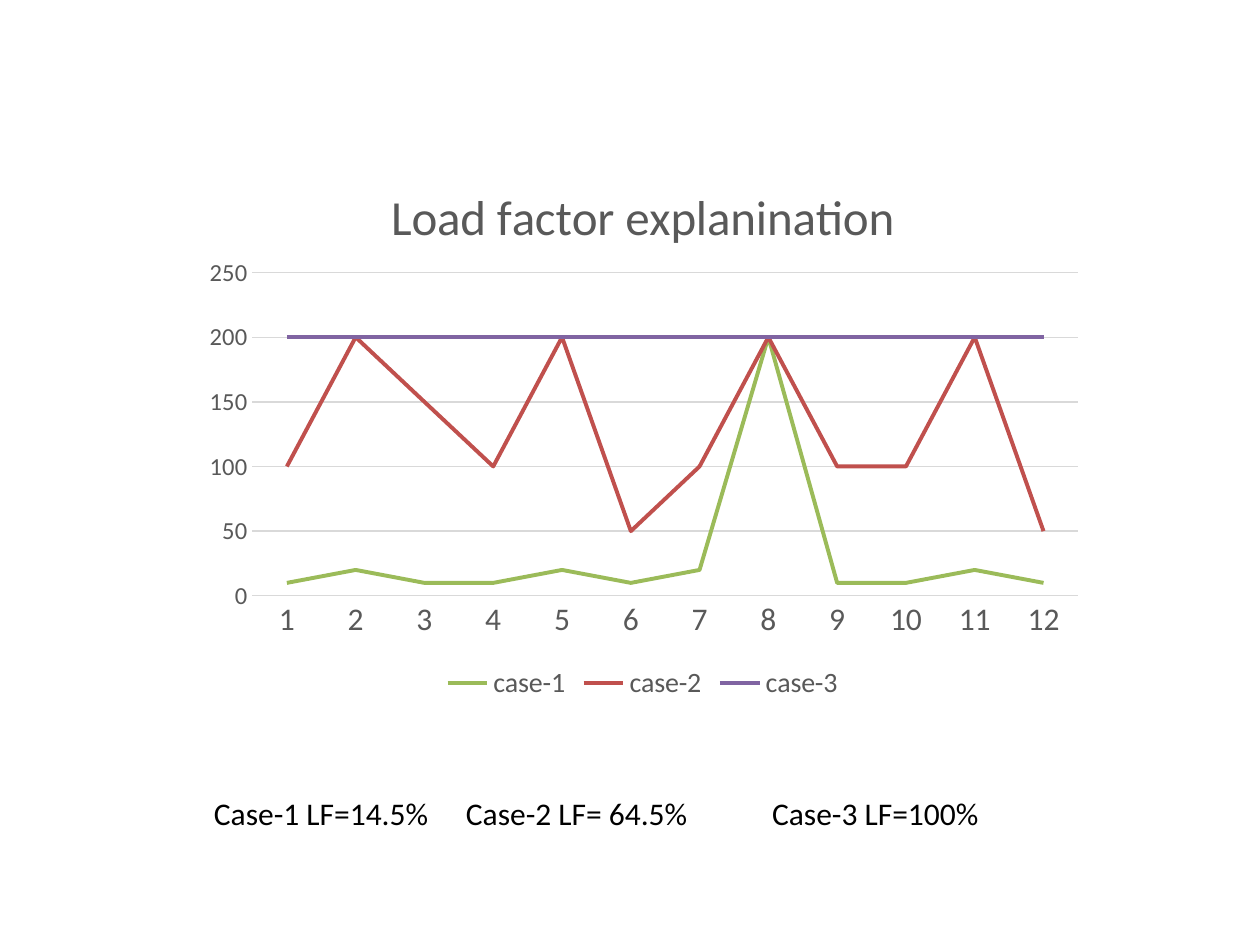
from lxml import etree
from pptx import Presentation
from pptx.chart.data import CategoryChartData
from pptx.dml.color import RGBColor
from pptx.enum.chart import XL_CHART_TYPE, XL_LEGEND_POSITION, XL_TICK_MARK
from pptx.oxml import parse_xml
from pptx.oxml.ns import nsdecls, qn
from pptx.util import Inches, Pt

LINE = XL_CHART_TYPE.LINE
BOTTOM = XL_LEGEND_POSITION.BOTTOM
NONE = XL_TICK_MARK.NONE

WIDE, HIGH = 10, 7.5
FACE = "Calibri"
BLACK = RGBColor(0x00, 0x00, 0x00)
GREY = RGBColor(0x59, 0x59, 0x59)
PALE = RGBColor(0xD9, 0xD9, 0xD9)
GREEN = RGBColor(0x9B, 0xBB, 0x59)
RED = RGBColor(0xC0, 0x50, 0x4D)
PURPLE = RGBColor(0x80, 0x64, 0xA2)

CASES = {
    "case-1": (GREEN, [10, 20, 10, 10, 20, 10, 20, 200, 10, 10, 20, 10]),
    "case-2": (RED, [100, 200, 150, 100, 200, 50, 100, 200, 100, 100, 200, 50]),
    "case-3": (PURPLE, [200] * 12),
}
FACTORS = ["Case-1 LF=14.5%", "Case-2 LF= 64.5%", "Case-3 LF=100%"]
STOPS = [2, 4.43]
PLOT = {"x": 0.07, "y": 0.21, "w": 0.91, "h": 0.59}


def style(item, **values):
    for name, value in values.items():
        setattr(item, name, value)


def write(font, size, color):
    style(font, name=FACE, size=Pt(size), bold=False)
    font.color.rgb = color


def rule(line, color, width):
    line.color.rgb = color
    line.width = Pt(width)


def place(box):
    left, top, width, height = box
    shares = (left * WIDE, top * HIGH, width * WIDE, height * HIGH)
    return [Inches(share) for share in shares]


def fix_plot(chart):
    area = chart._chartSpace.chart.plotArea
    for old in area.findall(qn("c:layout")):
        area.remove(old)
    layout = parse_xml(f"<c:layout {nsdecls('c')}><c:manualLayout/></c:layout>")
    parts = {"layoutTarget": "inner", "xMode": "edge", "yMode": "edge", **PLOT}
    for name, value in parts.items():
        etree.SubElement(layout[0], qn(f"c:{name}")).set("val", str(value))
    area.insert(0, layout)


def add_graph(slide, box):
    data = CategoryChartData()
    data.categories = [str(month) for month in range(1, 13)]
    for name, (color, loads) in CASES.items():
        data.add_series(name, loads)
    chart = slide.shapes.add_chart(LINE, *place(box), data).chart
    style(chart, has_title=True, has_legend=True)
    write(chart.font, 10, BLACK)

    title = chart.chart_title.text_frame
    title.text = "Load factor explanination"
    write(title.paragraphs[0].runs[0].font, 28, GREY)

    style(chart.legend, position=BOTTOM, include_in_layout=False)
    write(chart.legend.font, 16, GREY)

    months, loads = chart.category_axis, chart.value_axis
    for axis, size in ((months, 18), (loads, 14)):
        style(axis, major_tick_mark=NONE, minor_tick_mark=NONE)
        write(axis.tick_labels.font, size, GREY)
    rule(months.format.line, PALE, 0.75)
    style(loads, minimum_scale=0, maximum_scale=250, major_unit=50)
    loads.format.line.fill.background()
    rule(loads.major_gridlines.format.line, PALE, 0.75)

    for series in chart.plots[0].series:
        series.smooth = False
        rule(series.format.line, CASES[series.name][0], 2.25)
    fix_plot(chart)


def add_factors(slide, box):
    frame = slide.shapes.add_textbox(*place(box)).text_frame
    frame.word_wrap = True
    para = frame.paragraphs[0]
    run = para.add_run()
    run.text = "\t".join(FACTORS)
    write(run.font, 18, BLACK)
    tabs = etree.SubElement(para._p.get_or_add_pPr(), qn("a:tabLst"))
    for stop in STOPS:
        etree.SubElement(tabs, qn("a:tab"), pos=str(Inches(stop)), algn="l")


def main():
    deck = Presentation()
    style(deck, slide_width=Inches(WIDE), slide_height=Inches(HIGH))
    slide = deck.slides.add_slide(deck.slide_layouts[6])
    add_graph(slide, (0.15, 1 / 6, 0.72, 0.58))
    add_factors(slide, (0.16, 5 / 6, 0.66, 0.05))
    deck.save("out.pptx")


if __name__ == "__main__":
    main()
